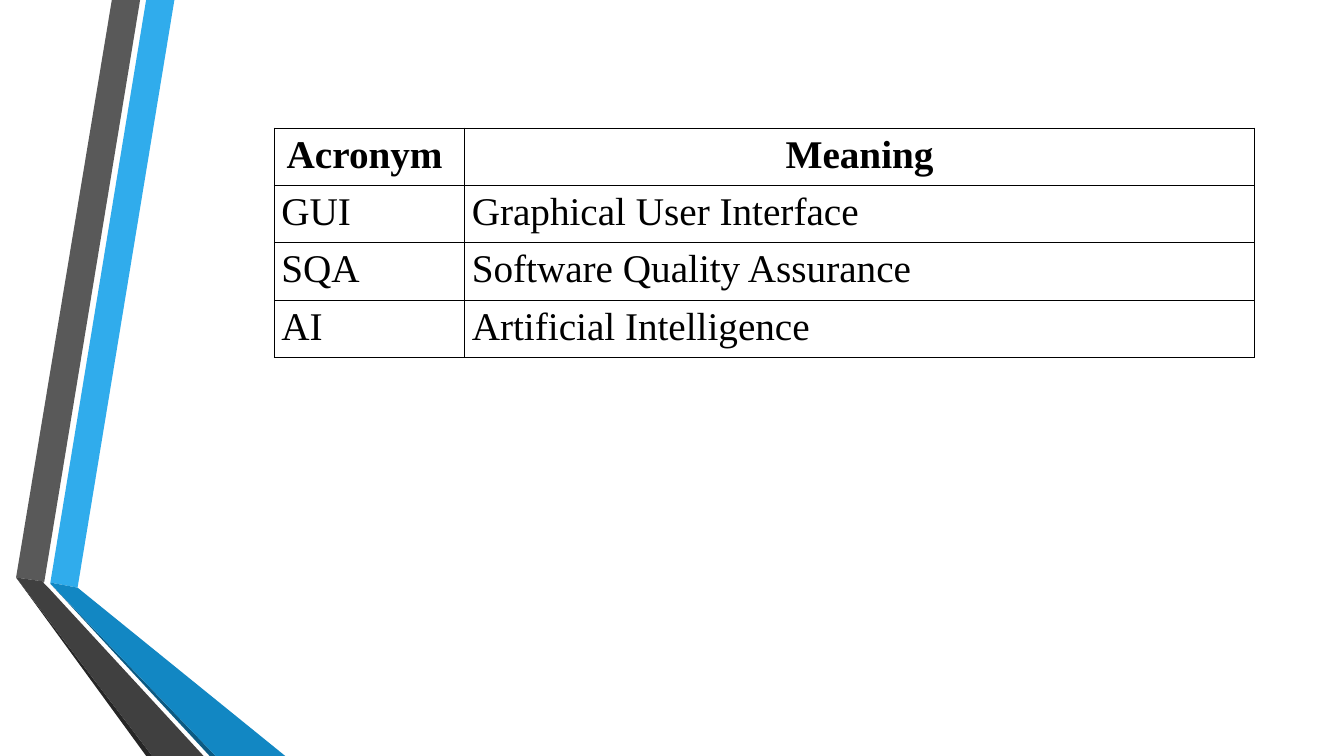
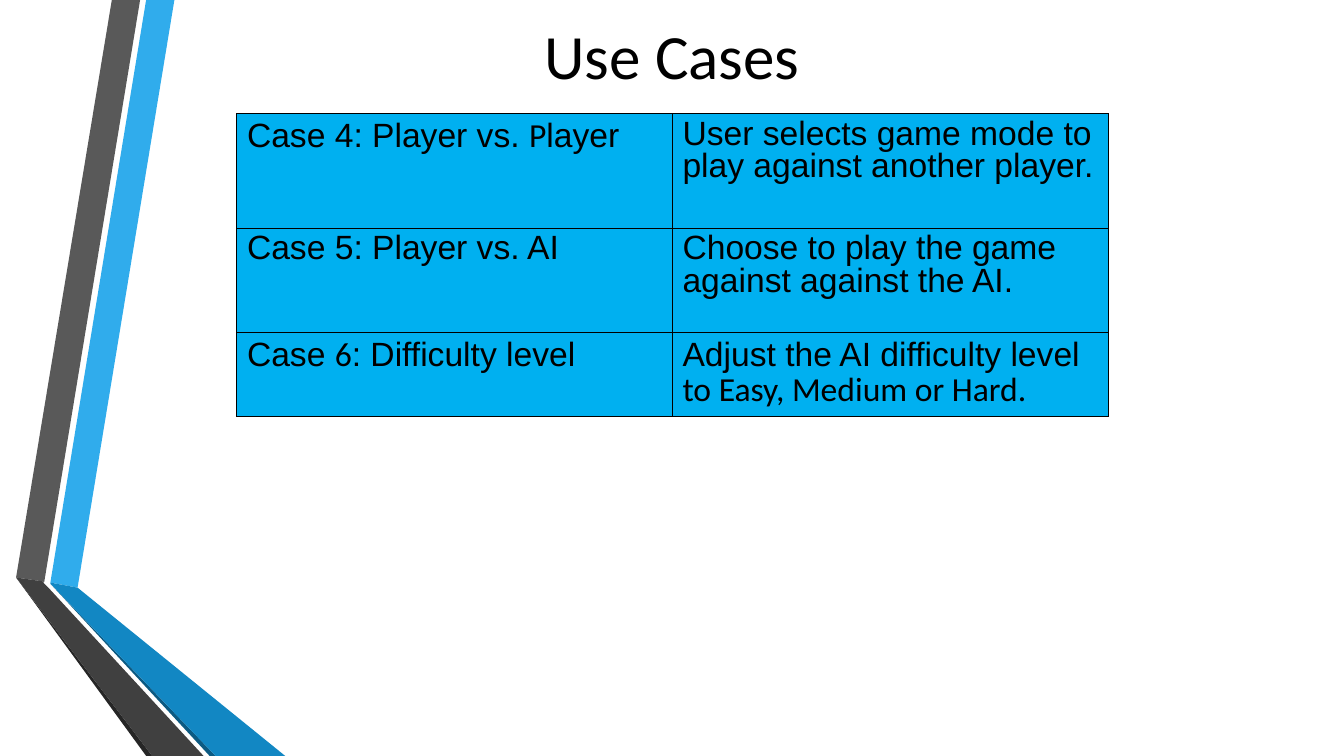
import pptx
import pptx.util
import pptx.dml.color
import pptx.enum.text
import lxml.etree
from pptx.util import Inches

COLORS = {
    "light blue": "30ACEC", "blue": "1287C3", "deep blue": "0C5A82",
    "gray": "595959", "dark gray": "404040", "near black": "262626",
    "black": "000000", "cell": "00B0F0",
}
CENTER = pptx.enum.text.PP_ALIGN.CENTER
LEFT = pptx.enum.text.PP_ALIGN.LEFT

# Folded ribbons on the left edge, back to front
RIBBONS = [
    ("light blue", [(0.5, 5.78), (0.77, 5.83), (1.73, 0), (1.45, 0)]),
    ("gray", [(1.39, 0), (1.11, 0), (0.16, 5.73), (0.44, 5.77)]),
    ("near black", [(0.16, 5.73), (1.45, 7.5), (1.51, 7.5)]),
    ("deep blue", [(0.5, 5.79), (2.08, 7.5), (2.14, 7.5)]),
    ("blue", [(0.5, 5.79), (2.14, 7.5), (2.83, 7.5), (0.77, 5.83), (0.5, 5.78)]),
    ("dark gray", [(2.02, 7.5), (0.48, 5.83), (0.43, 5.78), (0.44, 5.77),
                   (0.16, 5.73), (1.51, 7.5)]),
]


def add_span(para, text, font, size, bold=False):
    span = para.add_run()
    span.text = text
    span.font.name = font
    span.font.size = pptx.util.Pt(size)
    span.font.bold = bold
    span.font.color.rgb = pptx.dml.color.RGBColor.from_string(COLORS["black"])


def add_grid(page, left, top, widths, heights, margin, fill=None):
    frame = page.shapes.add_table(
        len(heights), len(widths), Inches(left), Inches(top),
        Inches(sum(widths)), Inches(sum(heights)))
    grid = frame.table
    grid.first_row = grid.horz_banding = False
    for column, width in zip(grid.columns, widths):
        column.width = Inches(width)
    for row, height in zip(grid.rows, heights):
        row.height = Inches(height)
    for cell in grid.iter_cells():
        cell.margin_left = cell.margin_right = Inches(margin)
        cell.margin_top = cell.margin_bottom = Inches(0.05)
        # Borders go before the fill in the cell properties
        properties = cell._tc.get_or_add_tcPr()
        for side in ("lnL", "lnR", "lnT", "lnB"):
            properties.append(lxml.etree.fromstring(
                f'<a:{side} xmlns:a="http://schemas.openxmlformats.org/drawingml/2006/main" '
                f'w="9525"><a:solidFill><a:srgbClr val="{COLORS["black"]}"/>'
                f'</a:solidFill></a:{side}>'))
        if fill:
            cell.fill.solid()
            cell.fill.fore_color.rgb = pptx.dml.color.RGBColor.from_string(COLORS[fill])
        else:
            cell.fill.background()
    return grid


deck = pptx.Presentation()
deck.slide_width, deck.slide_height = Inches(13.33), Inches(7.5)

# Pages with their shared ribbons
pages = [deck.slides.add_slide(deck.slide_layouts[6]) for _ in range(2)]
for page in pages:
    for color, points in RIBBONS:
        corners = [(Inches(x), Inches(y)) for x, y in points]
        builder = page.shapes.build_freeform(*corners[0])
        builder.add_line_segments(corners[1:], close=True)
        ribbon = builder.convert_to_shape()
        ribbon.shadow.inherit = False
        ribbon.fill.solid()
        ribbon.fill.fore_color.rgb = pptx.dml.color.RGBColor.from_string(COLORS[color])
        ribbon.line.fill.background()
acronym_page, cases_page = pages

# Acronym table
ACRONYMS = [
    ("Acronym ", "Meaning"),
    ("GUI", "Graphical User Interface"),
    ("SQA", "Software Quality Assurance"),
    ("AI", "Artificial Intelligence"),
]
grid = add_grid(acronym_page, 2.72, 1.27, [1.89, 7.83], [0.57] * len(ACRONYMS), 0.07)
for r, texts in enumerate(ACRONYMS):
    for c, text in enumerate(texts):
        para = grid.cell(r, c).text_frame.paragraphs[0]
        para.alignment = CENTER if r == 0 else LEFT
        para.space_after = pptx.util.Pt(10)
        add_span(para, text, "Times New Roman", 28, bold=r == 0)

# Use case title
box = cases_page.shapes.add_textbox(Inches(3.08), Inches(0.1), Inches(7.17), Inches(0.93))
frame = box.text_frame
frame.word_wrap = True
frame.vertical_anchor = pptx.enum.text.MSO_ANCHOR.MIDDLE
frame.margin_left = frame.margin_right = frame.margin_bottom = 0
frame.margin_top = Inches(0.03)
para = frame.paragraphs[0]
para.alignment = CENTER
para.line_spacing = 0.93
add_span(para, "Use Cases", "Calibri", 45)

# Use case table: the runs of a cell alternate between the two fonts
CASES = [
    (["Case 4: Player vs. ", "P", "layer "],
     ["User selects game mode to play against another player."]),
    (["Case 5: Player vs. AI "],
     ["Choose to play the game against against the AI."]),
    (["Case ", "6", ": Difficulty level"],
     ["Adjust the AI difficulty level", " to Easy, Medium or Hard."]),
]
grid = add_grid(cases_page, 2.35, 1.13, [4.32, 4.32], [1.14, 1.03, 0.83], 0.1, "cell")
for r, cells in enumerate(CASES):
    for c, texts in enumerate(cells):
        para = grid.cell(r, c).text_frame.paragraphs[0]
        para.line_spacing = 0.87
        for i, text in enumerate(texts):
            add_span(para, text, ("Arial", "Calibri")[i % 2], 24)

deck.save("out.pptx")
